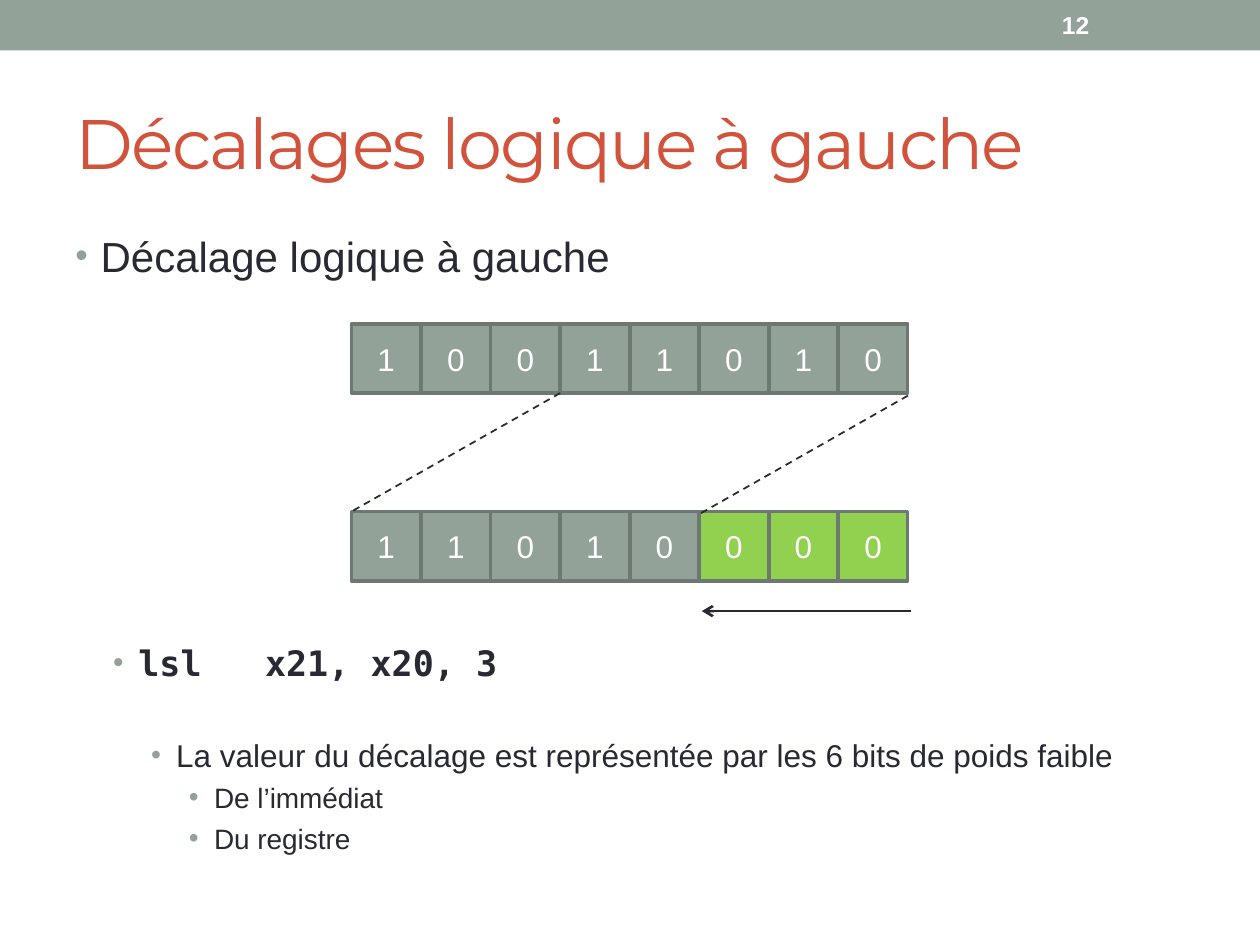
from lxml import etree
from pptx import Presentation
from pptx.dml.color import RGBColor
from pptx.enum.dml import MSO_LINE
from pptx.enum.shapes import MSO_CONNECTOR, MSO_SHAPE
from pptx.enum.text import MSO_ANCHOR, MSO_AUTO_SIZE, PP_ALIGN
from pptx.oxml.ns import qn
from pptx.util import Inches, Pt

RECT = MSO_SHAPE.RECTANGLE
STRAIGHT = MSO_CONNECTOR.STRAIGHT
DASH = MSO_LINE.DASH
TOP, MIDDLE = MSO_ANCHOR.TOP, MSO_ANCHOR.MIDDLE
LEFT, CENTER = PP_ALIGN.LEFT, PP_ALIGN.CENTER
NO_FIT = MSO_AUTO_SIZE.NONE

COLORS = {"sage": "93A299", "border": "6D7871", "green": "92D050",
          "title": "D2533C", "text": "292934", "white": "FFFFFF"}
MONO = "DejaVu Sans Mono"

# Bit registers
BIT_LEFT, BIT_SIZE, BIT_STEP = 2.79, 0.55, 0.552
BEFORE_TOP, AFTER_TOP = 2.57, 4.06
SHIFT = 3

# Text, level, bullet size in percent, space before in points, run format
BULLETS = [
    ("Décalage logique à gauche", 0, 85, 0, {"size": 24}),
    ("lsl   x21, x20, 3", 1, 85, 206,
     {"size": 20, "font": MONO, "bold": True}),
    ("La valeur du décalage est représentée par les 6 bits de poids faible",
     2, 90, 30, {"size": 18}),
    ("De l’immédiat", 3, 100, 4, {"size": 16}),
    ("Du registre", 3, 100, 4, {"size": 16}),
]


def rgb(name):
    return RGBColor.from_string(COLORS[name])


def write(p, text, size=18, font="Arial", color="text", bold=False,
          align=LEFT):
    p.alignment = align
    r = p.add_run()
    r.text = text
    r.font.size = Pt(size)
    r.font.name = font
    r.font.bold = bold
    r.font.color.rgb = rgb(color)
    return r


def set_frame(tf, anchor):
    tf.word_wrap = True
    tf.auto_size = NO_FIT
    tf.vertical_anchor = anchor


def add_text_box(s, x, y, w, h, anchor=TOP):
    tf = s.shapes.add_textbox(Inches(x), Inches(y), Inches(w),
                              Inches(h)).text_frame
    set_frame(tf, anchor)
    return tf


def add_rect(shapes, x, y, w, h, fill, line=None):
    sp = shapes.add_shape(RECT, Inches(x), Inches(y), Inches(w), Inches(h))
    sp.shadow.inherit = False
    sp.fill.solid()
    sp.fill.fore_color.rgb = rgb(fill)
    if line:
        sp.line.color.rgb = rgb(line)
        sp.line.width = Pt(2.08)
    else:
        sp.line.fill.background()
    return sp


def add_title(s, text):
    sp = s.shapes.title
    sp.left, sp.top = Inches(0.5), Inches(0.58)
    sp.width, sp.height = Inches(9), Inches(1.08)
    set_frame(sp.text_frame, MIDDLE)
    r = write(sp.text_frame.paragraphs[0], text, size=40, font="Montserrat",
              color="title")
    r.font._element.set("spc", "-100")


def set_bullet(p, level, percent):
    pPr = p._p.get_or_add_pPr()
    pPr.set("marL", str(Inches(0.2 + 0.3 * level)))
    pPr.set("indent", str(Inches(-0.2)))
    color = etree.SubElement(pPr, qn("a:buClr"))
    etree.SubElement(color, qn("a:srgbClr"), val=COLORS["sage"])
    etree.SubElement(pPr, qn("a:buSzPct"), val=str(percent * 1000))
    etree.SubElement(pPr, qn("a:buFont"), typeface="Arial")
    etree.SubElement(pPr, qn("a:buChar"), char="•")


def add_bullets(s, items):
    tf = add_text_box(s, 0.5, 1.78, 9.38, 5.5)
    for i, (text, level, percent, before, style) in enumerate(items):
        p = tf.add_paragraph() if i else tf.paragraphs[0]
        p.level = level
        p.space_before = Pt(before)
        set_bullet(p, level, percent)
        write(p, text, **style)


def add_register(s, bits, y, new_bits=0):
    group = s.shapes.add_group_shape()
    for i, bit in enumerate(bits):
        fill = "green" if i >= len(bits) - new_bits else "sage"
        sp = add_rect(group.shapes, BIT_LEFT + i * BIT_STEP, y, BIT_SIZE,
                      BIT_SIZE, fill, "border")
        set_frame(sp.text_frame, MIDDLE)
        write(sp.text_frame.paragraphs[0], bit, color="white", align=CENTER)


def add_line(s, x1, y1, x2, y2, width=1, dash=None, arrow=False):
    c = s.shapes.add_connector(STRAIGHT, Inches(x1), Inches(y1), Inches(x2),
                               Inches(y2))
    c.line.color.rgb = rgb("text")
    c.line.width = Pt(width)
    if dash:
        c.line.dash_style = dash
    if arrow:
        etree.SubElement(c.line._get_or_add_ln(), qn("a:tailEnd"),
                         type="arrow")
    etree.SubElement(c._element.spPr, qn("a:effectLst"))


def main():
    prs = Presentation()
    prs.slide_width, prs.slide_height = Inches(10), Inches(7.5)
    s = prs.slides.add_slide(prs.slide_layouts[5])

    # Header band and page number
    add_rect(s.shapes, 0, 0, 10, 0.4, "sage")
    tf = add_text_box(s, 8.33, 0.02, 1.17, 0.36, MIDDLE)
    write(tf.paragraphs[0], "12", size=14, color="white", bold=True)

    # Title and body
    add_title(s, "Décalages logique à gauche")
    add_bullets(s, BULLETS)

    # Register before and after the shift
    before = "10011010"
    add_register(s, before, BEFORE_TOP)
    add_register(s, before[SHIFT:] + "0" * SHIFT, AFTER_TOP, SHIFT)

    # Shift direction and the bits that are kept
    offset = SHIFT * BIT_STEP
    right = BIT_LEFT + len(before) * BIT_STEP
    add_line(s, 7.23, 4.85, 5.57, 4.85, width=1.5, arrow=True)
    for x, drop in ((BIT_LEFT + offset, 0), (right, 0.02)):
        add_line(s, x, BEFORE_TOP + BIT_SIZE + drop, x - offset,
                 AFTER_TOP + drop, dash=DASH)

    prs.save("out.pptx")


if __name__ == "__main__":
    main()
